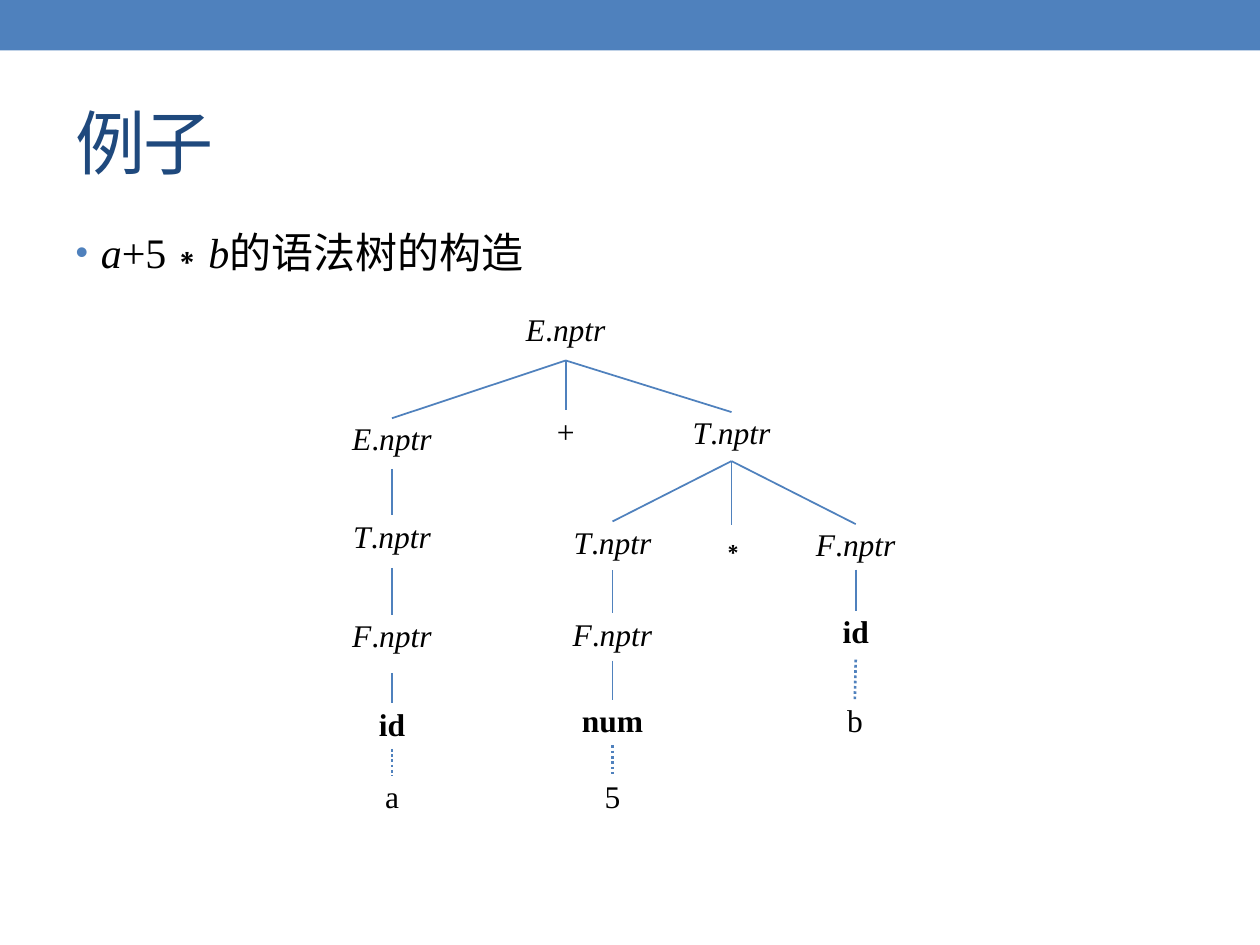
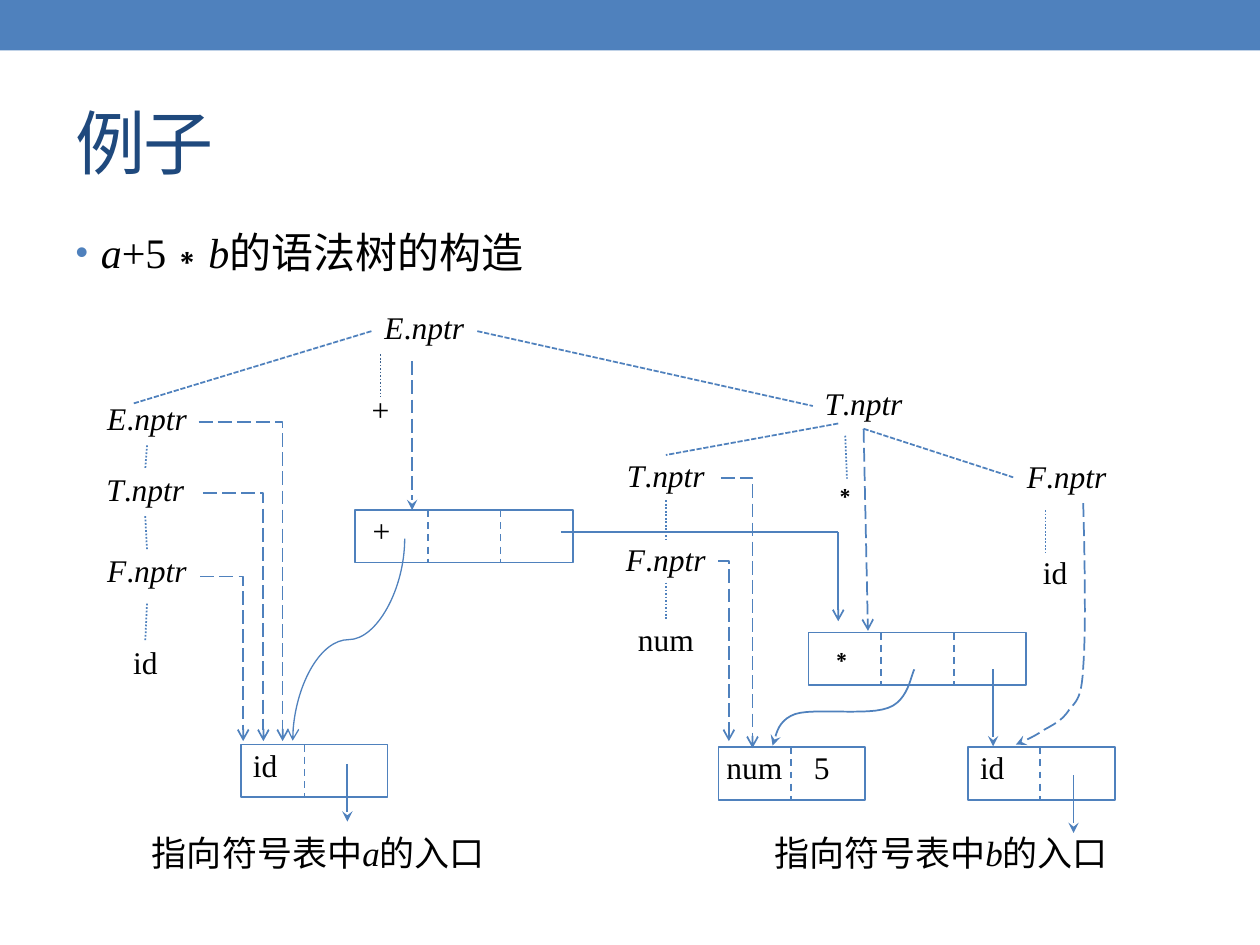
from itertools import pairwise

from lxml.etree import SubElement
from pptx import Presentation
from pptx.dml.color import RGBColor
from pptx.enum.dml import MSO_LINE
from pptx.enum.shapes import MSO_CONNECTOR, MSO_SHAPE
from pptx.enum.text import MSO_ANCHOR, PP_ALIGN
from pptx.oxml.ns import qn
from pptx.util import Pt

THEME = {
    "blue": RGBColor.from_string("4F81BD"),
    "dark blue": RGBColor.from_string("3A5F8C"),
    "fonts": {
        "title": {"size": Pt(40), "color": RGBColor.from_string("1F497D")},
        "body": {"size": Pt(24)},
        "label": {"size": Pt(18)},
        "token": {"size": Pt(18), "bold": True},
        "caption": {"size": Pt(20)},
    },
    # width, dash, arrowhead, colour
    "strokes": {
        "edge": (1, None, None, "blue"),
        "lexeme": (1.5, MSO_LINE.ROUND_DOT, None, "blue"),
        "dotted": (1, MSO_LINE.ROUND_DOT, None, "blue"),
        "dark dotted": (1, MSO_LINE.ROUND_DOT, None, "dark blue"),
        "branch": (1, MSO_LINE.SQUARE_DOT, None, "blue"),
        "divider": (1, MSO_LINE.DASH, None, "blue"),
        "nptr": (1, MSO_LINE.LONG_DASH, "arrow", "blue"),
        "sharp nptr": (1, MSO_LINE.LONG_DASH, "stealth", "blue"),
        "pointer": (1, None, "stealth", "blue"),
        "open pointer": (1, None, "arrow", "blue"),
        "thin pointer": (0.75, None, "arrow", "blue"),
    },
}
TEXT_MARGINS = {"margin_left": Pt(1.44), "margin_right": Pt(1.44),
                "margin_top": Pt(0.72), "margin_bottom": Pt(0.72),
                "word_wrap": True, "vertical_anchor": MSO_ANCHOR.TOP}
STRAIGHT, BENT, CURVED = MSO_CONNECTOR.STRAIGHT, MSO_CONNECTOR.ELBOW, MSO_CONNECTOR.CURVE
TOP, LEFT, BOTTOM, RIGHT = range(4)
RECORD_HEIGHT = 30
CURVE_STEPS = 12


def write(paragraph, text, style):
    """Add text as runs; the parts between underscores are italic."""
    for index, piece in enumerate(text.split("_")):
        if piece:
            run = paragraph.add_run()
            run.text = piece
            look = {"name": "Times New Roman", "italic": index % 2 == 1} | THEME["fonts"][style]
            run.font.color.rgb = look.pop("color", RGBColor(0, 0, 0))
            for attribute, value in look.items():
                setattr(run.font, attribute, value)


def stroke(shape, style):
    width, dash, arrowhead, colour = THEME["strokes"][style]
    shape.line.color.rgb = THEME[colour]
    shape.line.width = Pt(width)
    if dash:
        shape.line.dash_style = dash
    properties = shape.element.spPr
    if arrowhead:
        SubElement(properties.find(qn("a:ln")), qn("a:tailEnd"), type=arrowhead)
    SubElement(properties, qn("a:effectLst"))


# Nodes: text, centre x, top, width, height, text style
parse_tree = {
    "E": ("_E_._nptr_", 323.3, 176.5, 66, 29.5, "label"),
    "+": ("+", 323.3, 234.5, 27, 24.5, "label"),
    "E left": ("_E_._nptr_", 224, 239, 64, 29, "label"),
    "T left": ("_T_._nptr_", 224, 294.5, 70, 30, "label"),
    "F left": ("_F_._nptr_", 224, 351.5, 66, 33, "label"),
    "id left": ("id", 224, 402, 26, 26, "token"),
    "a": ("a", 224, 443.5, 26, 26, "label"),
    "T": ("_T_._nptr_", 418, 235.5, 64, 28, "label"),
    "∗": ("∗", 418, 300, 19, 24.5, "label"),
    "T middle": ("_T_._nptr_", 350, 298, 70, 28, "label"),
    "F middle": ("_F_._nptr_", 350, 350.5, 67, 27, "label"),
    "num": ("num", 350, 400, 49, 26, "token"),
    "5": ("5", 350, 443.5, 26, 26, "label"),
    "F right": ("_F_._nptr_", 489, 299.5, 67, 26, "label"),
    "id right": ("id", 489, 349, 27, 28, "token"),
    "b": ("b", 488.5, 400, 26, 26, "label"),
}
children = {
    "E": ["E left", "+", "T"], "E left": ["T left"], "T left": ["F left"],
    "F left": ["id left"], "T": ["T middle", "∗", "F right"],
    "T middle": ["F middle"], "F middle": ["num"], "F right": ["id right"],
    "id left": ["a"], "num": ["5"], "id right": ["b"],
}
parse_links = [
    ((parent, BOTTOM), (child, TOP), "lexeme" if child in ("a", "5", "b") else "edge", STRAIGHT)
    for parent, family in children.items() for child in family
]

syntax_tree = {
    "E": ("_E_._nptr_", 242.5, 175.5, 60.5, 27.5, "label"),
    "+": ("+", 217.5, 222, 17, 23, "label"),
    "E left": ("_E_._nptr_", 84, 227.5, 59, 27, "label"),
    "T left": ("_T_._nptr_", 83, 268, 65, 27, "label"),
    "F left": ("_F_._nptr_", 84, 314, 61, 31, "label"),
    "id left": ("id", 83, 366.5, 24, 24, "label"),
    "T": ("_T_._nptr_", 493.5, 219, 58, 26, "label"),
    "∗": ("∗", 481, 268, 17, 23, "label"),
    "T middle": ("_T_._nptr_", 380.5, 260, 64, 26, "label"),
    "F middle": ("_F_._nptr_", 380.5, 308, 61, 25, "label"),
    "num": ("num", 380.5, 353.5, 45, 24, "label"),
    "F right": ("_F_._nptr_", 609.5, 260.5, 61, 24.5, "label"),
    "id right": ("id", 603, 315.5, 25, 26, "label"),
    "entry a": ("指向符号表中_a_的入口", 182, 474.5, 234, 40, "caption"),
    "entry b": ("指向符号表中_b_的入口", 538, 474.5, 233, 40, "caption"),
}
# Records: text, left, top, width, field width, left margin
records = [
    ("+", 203, 291.5, 124.5, 41.5, 10),
    ("∗", 462, 361.5, 124.5, 41.5, 10),
    ("id", 137.5, 425.5, 84, 36.5, 7),
    ("num\t5", 410.5, 427, 84, 41.5, 4.5),
    ("id", 553, 427, 84, 41.5, 7),
]
syntax_links = [
    (("E", LEFT), (76.5, 230.5), "branch", STRAIGHT),
    (("E", RIGHT), ("T", LEFT), "branch", STRAIGHT),
    ((479, 242), ("T middle", TOP), "branch", STRAIGHT),
    (("T", BOTTOM), ("F right", LEFT), "branch", STRAIGHT),
    ((217.5, 202.5), (217.5, 227), "dark dotted", STRAIGHT),
    ((483, 249), (484, 273.5), "dotted", STRAIGHT),
    ((597.5, 291.5), (597.5, 315.5), "dotted", STRAIGHT),
    (("T", BOTTOM), (496, 360.5), "nptr", STRAIGHT),
    ((235.5, 206.5), (235.5, 291.5), "sharp nptr", STRAIGHT),
    ((113.5, 241), (161.5, 423.5), "nptr", BENT),
    ((116, 281.5), (150.5, 423.5), "nptr", BENT),
    ((114.5, 329.5), (139, 423.5), "nptr", BENT),
    ((412, 273), (430, 427.5), "nptr", BENT),
    ((410.5, 320.5), (416.5, 423.5), "nptr", BENT),
    ((141.5, 333.5), (257, 397.5), "thin pointer", CURVED),
    ((320.5, 304), (479, 304), "edge", STRAIGHT),
    ((479, 304), (479, 355), "open pointer", STRAIGHT),
    ((567.5, 382.5), (567.5, 426.5), "pointer", STRAIGHT),
    ((198.5, 436.5), (198.5, 469.5), "pointer", STRAIGHT),
    ((613.5, 443), (613.5, 476), "pointer", STRAIGHT),
]
for chain in (["E left", "T left", "F left", "id left"], ["T middle", "F middle", "num"]):
    syntax_links += [((upper, BOTTOM), (lower, TOP), "dotted", STRAIGHT)
                     for upper, lower in pairwise(chain)]
for _, left, top, width, field, _ in records:
    for number in range(1, round(width / field)):
        x = left + number * field
        syntax_links.append(((x, top), (x, top + RECORD_HEIGHT), "divider", STRAIGHT))

# Curved pointers: start point, then two control points and an end point per segment
curves = [
    ("pointer", [(522.5, 382.5), (520.5, 386), (519, 400.5), (507.5, 404.5),
                 (496, 409), (465, 404.5), (454.5, 408),
                 (443, 412), (443.5, 422.5), (441.5, 426)]),
    ("sharp nptr", [(619, 287.5), (620, 324.5), (620.5, 361.5), (619, 381.5),
                    (618, 401.5), (614, 401), (610, 407),
                    (606, 412.5), (601, 414.5), (596, 417.5),
                    (591, 421), (584, 424), (580.5, 425.5)]),
]

deck = Presentation()
deck.slide_width, deck.slide_height = Pt(720), Pt(540)
layout = deck.slide_layouts[1]
for placeholder, area in zip(layout.placeholders, [(36, 42, 648, 77.5), (36, 126, 648, 384)]):
    for attribute, value in zip(("left", "top", "width", "height"), area):
        setattr(placeholder, attribute, Pt(value))

pages = [(parse_tree, parse_links, [], []), (syntax_tree, syntax_links, records, curves)]
for page_number, (nodes, links, page_records, page_curves) in enumerate(pages):
    slide = deck.slides.add_slide(layout)
    shapes = slide.shapes

    # The band is made once and belongs to the shared layout
    if page_number == 0:
        band = shapes.add_shape(MSO_SHAPE.RECTANGLE, 0, 0, deck.slide_width, Pt(28.8))
        band.fill.solid()
        band.fill.fore_color.rgb = THEME["blue"]
        band.line.fill.background()
        band.shadow.inherit = False
        layout.shapes.element.insert(2, band.element)

    shapes.title.text_frame.vertical_anchor = MSO_ANCHOR.MIDDLE
    heading = shapes.title.text_frame.paragraphs[0]
    heading.alignment = PP_ALIGN.LEFT
    write(heading, "例子", "title")
    heading.runs[0].font._element.set("spc", "-100")

    topic = slide.placeholders[1].text_frame.paragraphs[0]
    bullet = topic._p.get_or_add_pPr()
    bullet.set("marL", str(Pt(14.4)))
    bullet.set("indent", str(Pt(-14.4)))
    SubElement(SubElement(bullet, qn("a:buClr")), qn("a:srgbClr"), val=str(THEME["blue"]))
    SubElement(bullet, qn("a:buSzPct"), val="85000")
    SubElement(bullet, qn("a:buFont"), typeface="Arial")
    SubElement(bullet, qn("a:buChar"), char="•")
    topic.space_before = Pt(0)
    write(topic, "_a_+5∗_b_的语法树的构造", "body")

    boxes = {}
    for name, (text, centre, top, width, height, style) in nodes.items():
        box = shapes.add_textbox(Pt(centre - width / 2), Pt(top), Pt(width), Pt(height))
        for attribute, value in TEXT_MARGINS.items():
            setattr(box.text_frame, attribute, value)
        label = box.text_frame.paragraphs[0]
        label.alignment = PP_ALIGN.CENTER
        write(label, text, style)
        boxes[name] = box

    for text, left, top, width, field, margin in page_records:
        record = shapes.add_shape(MSO_SHAPE.RECTANGLE, Pt(left), Pt(top), Pt(width), Pt(RECORD_HEIGHT))
        record.fill.background()
        stroke(record, "edge")
        for attribute, value in (TEXT_MARGINS | {"margin_left": Pt(margin)}).items():
            setattr(record.text_frame, attribute, value)
        content = record.text_frame.paragraphs[0]
        content.alignment = PP_ALIGN.LEFT
        if "\t" in text:
            stops = SubElement(content._p.get_or_add_pPr(), qn("a:tabLst"))
            SubElement(stops, qn("a:tab"), pos=str(Pt(50)), algn="l")
        write(content, text, "label")

    for begin, end, style, route in links:
        begin_joined, end_joined = (isinstance(spot[0], str) for spot in (begin, end))
        start = (0, 0) if begin_joined else begin
        finish = (0, 0) if end_joined else end
        link = shapes.add_connector(route, *map(Pt, start + finish))
        if begin_joined:
            link.begin_connect(boxes[begin[0]], begin[1])
        if end_joined:
            link.end_connect(boxes[end[0]], end[1])
        if route == BENT:
            link.element.spPr.find(qn("a:prstGeom")).set("prst", "bentConnector2")
        if route == CURVED:
            link.element.spPr.find(qn("a:xfrm")).set("rot", "5400000")
        stroke(link, style)

    for style, points in page_curves:
        outline = []
        for first in range(0, len(points) - 1, 3):
            segment = points[first:first + 4]
            for step in range(1, CURVE_STEPS + 1):
                t = step / CURVE_STEPS
                weights = ((1 - t) ** 3, 3 * t * (1 - t) ** 2, 3 * t * t * (1 - t), t ** 3)
                outline.append(tuple(Pt(sum(w * c for w, c in zip(weights, axis)))
                                     for axis in zip(*segment)))
        builder = shapes.build_freeform(*map(Pt, points[0]))
        builder.add_line_segments(outline, close=False)
        curve = builder.convert_to_shape()
        curve.fill.background()
        stroke(curve, style)

deck.save("out.pptx")
